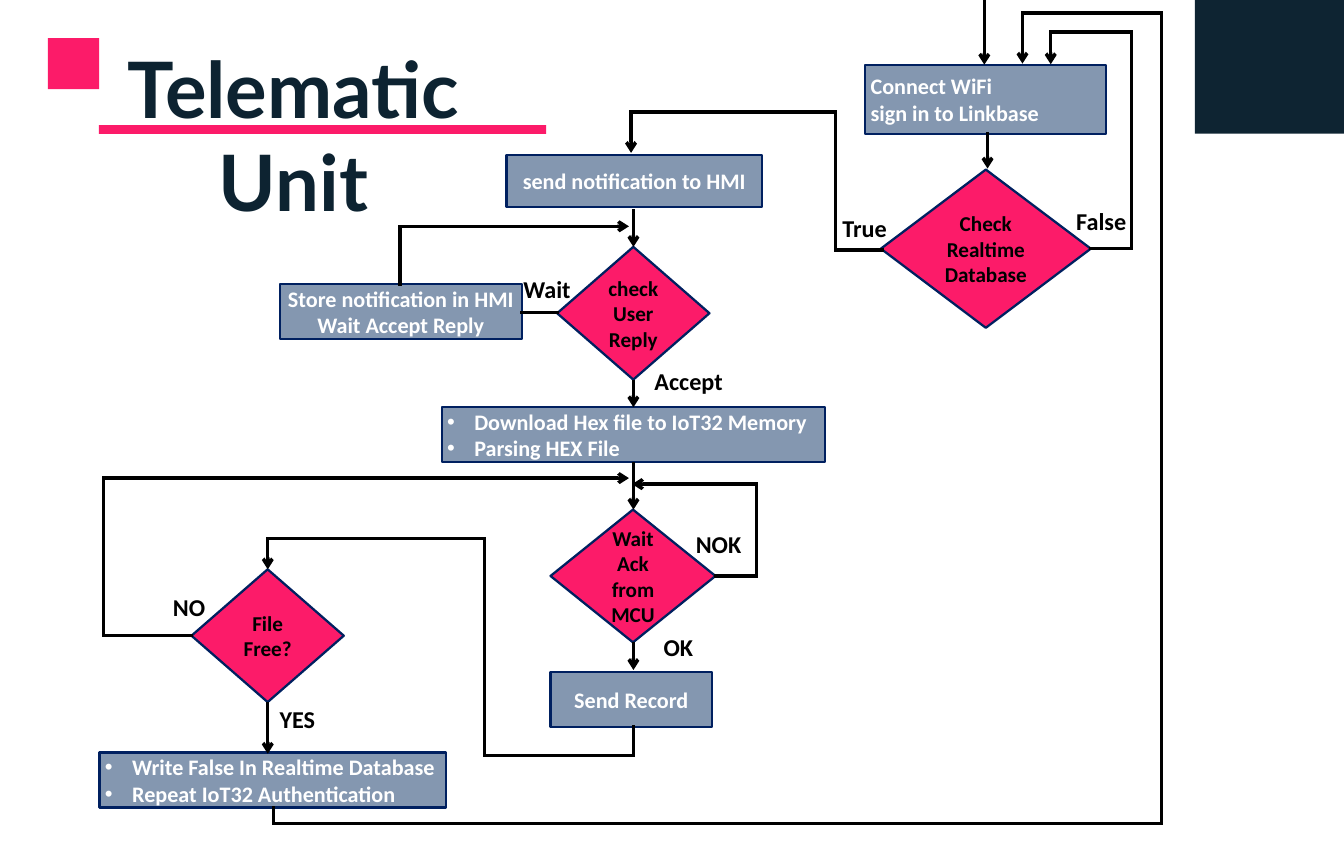
from itertools import pairwise

from lxml import etree
from pptx import Presentation
from pptx.dml.color import RGBColor
from pptx.enum.shapes import MSO_CONNECTOR, MSO_SHAPE
from pptx.enum.text import MSO_ANCHOR, PP_ALIGN
from pptx.oxml.ns import qn
from pptx.util import Cm, Pt

RECT, DIAMOND = MSO_SHAPE.RECTANGLE, MSO_SHAPE.DIAMOND
STRAIGHT = MSO_CONNECTOR.STRAIGHT
LEFT, CENTER = PP_ALIGN.LEFT, PP_ALIGN.CENTER
MIDDLE = MSO_ANCHOR.MIDDLE

PINK, NAVY, TITLE_NAVY = "FC1B69", "0E2432", "0D2331"
STEEL, OUTLINE, WHITE, BLACK = "8497B0", "002060", "FFFFFF", "000000"
MAIN_X, FILE_X = 29.57, 12.5  # centres of the two flow columns


def rgb(value):
    return RGBColor.from_string(value)


def write(sp, text, size, color, align=LEFT, font="Calibri"):
    """Fill a shape with wrapped bold text, one paragraph per line."""
    tf = sp.text_frame
    tf.word_wrap = True
    tf.text = text
    for p in tf.paragraphs:
        p.alignment = align
        for r in p.runs:
            r.font.name, r.font.size, r.font.bold = font, Pt(size), True
            r.font.color.rgb = rgb(color)


prs = Presentation()
prs.slide_width, prs.slide_height = Cm(62.74), Cm(39.37)
s = prs.slides.add_slide(prs.slide_layouts[6])

# Decoration: left, top, width, height, fill
decoration = [
    (2.24, 1.78, 2.39, 2.39, PINK),
    (55.78, -0.08, 6.96, 6.32, NAVY),
    (4.62, 5.84, 20.88, 0.41, PINK),
]
for *box, fill in decoration:
    sp = s.shapes.add_shape(RECT, *map(Cm, box))
    sp.shadow.inherit = False
    sp.fill.solid()
    sp.fill.fore_color.rgb = rgb(fill)
    sp.line.fill.background()

title = s.shapes.add_textbox(Cm(2.74), Cm(1.88), Cm(21.92), Cm(4.39))
write(title, "Telematic Unit", 103, TITLE_NAVY, CENTER, "Lato")
tf = title.text_frame
tf.margin_left = tf.margin_top = tf.margin_right = tf.margin_bottom = 0

# Steps and decisions: kind, left, top, width, height, text, alignment, bulleted
nodes = [
    (RECT, 40.39, 3.02, 11.23, 3.23, "Connect WiFi\nsign in to Linkbase", LEFT, False),
    (DIAMOND, 41.12, 7.92, 9.8, 7.39, "Check Realtime Database", CENTER, False),
    (RECT, 23.65, 7.24, 11.91, 2.44, "send notification to HMI", CENTER, False),
    (DIAMOND, 26.01, 11.53, 7.11, 6.2, "check User Reply", CENTER, False),
    (RECT, 13.06, 13.28, 11.3, 2.57,
     "Store notification in HMI\nWait Accept Reply", CENTER, False),
    (RECT, 20.62, 19.02, 17.88, 2.57,
     "Download Hex file to IoT32 Memory\nParsing HEX File", LEFT, True),
    (DIAMOND, 25.7, 23.8, 7.7, 6.2, "Wait Ack from MCU", CENTER, False),
    (RECT, 25.7, 31.37, 7.54, 2.57, "Send Record", CENTER, False),
    (DIAMOND, 8.94, 26.59, 7.11, 6.2, "File Free?", CENTER, False),
    (RECT, 4.65, 35.15, 16.18, 2.57,
     "Write False In Realtime Database\nRepeat IoT32 Authentication", LEFT, True),
]
for kind, left, top, width, height, text, align, bulleted in nodes:
    sp = s.shapes.add_shape(kind, Cm(left), Cm(top), Cm(width), Cm(height))
    sp.shadow.inherit = False
    sp.fill.solid()
    sp.fill.fore_color.rgb = rgb(PINK if kind == DIAMOND else STEEL)
    sp.line.color.rgb = rgb(OUTLINE)
    sp.line.width = Pt(3)
    if kind == DIAMOND:
        write(sp, text, 28, BLACK, align)
    else:
        write(sp, text, 29.3, WHITE, align)
    sp.text_frame.vertical_anchor = MIDDLE
    if bulleted:
        for p in sp.text_frame.paragraphs:
            pPr = p._p.get_or_add_pPr()
            pPr.set("marL", str(Cm(1.27)))
            pPr.set("indent", str(-Cm(1.27)))
            etree.SubElement(pPr, qn("a:buFont"), typeface="Arial")
            etree.SubElement(pPr, qn("a:buChar"), char="•")

# Each flow is a list of corner points, ending in an arrow or a plain end
flows = [
    ([(45.95, 0), (45.95, 3.02)], True),
    ([(46.1, 6.17), (46.1, 7.87)], True),
    ([(50.93, 11.61), (52.81, 11.61), (52.81, 1.5), (49.05, 1.5), (49.05, 3)], True),
    ([(41.2, 11.68), (39.01, 11.68), (39.01, 5.24), (29.46, 5.24), (29.46, 7.14)], True),
    ([(MAIN_X, 9.78), (MAIN_X, 11.53)], True),
    ([(26.01, 14.6), (24.36, 14.6)], False),
    ([(18.67, 13.28), (18.67, 10.57), (29.36, 10.57)], True),
    ([(MAIN_X, 17.73), (MAIN_X, 19.02)], True),
    ([(MAIN_X, 21.59), (MAIN_X, 23.8)], True),
    ([(33.4, 26.9), (35.31, 26.9), (35.31, 22.61), (29.51, 22.61)], True),
    ([(MAIN_X, 30), (MAIN_X, 31.29)], True),
    ([(MAIN_X, 33.93), (MAIN_X, 35.28), (22.61, 35.28), (22.61, 25.15),
      (FILE_X, 25.15), (FILE_X, 26.59)], True),
    ([(8.94, 29.69), (4.83, 29.69), (4.83, 22.33), (29.36, 22.33)], True),
    ([(FILE_X, 32.79), (FILE_X, 35.2)], True),
    ([(12.78, 37.72), (12.78, 38.46), (54.23, 38.46), (54.23, 0.6),
      (47.73, 0.6), (47.73, 2.97)], True),
]
for points, arrow in flows:
    for start, end in pairwise(points):
        line = s.shapes.add_connector(STRAIGHT, *map(Cm, start + end))
        line.line.color.rgb = rgb(BLACK)
        line.line.width = Pt(4.5)
        spPr = line._element.spPr
        ln = spPr.find(qn("a:ln"))
        if arrow and end == points[-1]:
            etree.SubElement(ln, qn("a:tailEnd"), type="arrow")
        else:
            ln.set("cap", "sq")
        etree.SubElement(spPr, qn("a:effectLst"))

labels = [
    ("True", 39.07, 9.86),
    ("False", 49.99, 9.5),
    ("Wait", 24.18, 12.67),
    ("Accept", 30.3, 16.97),
    ("NOK", 32.23, 24.61),
    ("OK", 30.73, 29.41),
    ("NO", 7.82, 27.53),
    ("YES", 12.8, 32.79),
]
for text, left, top in labels:
    sp = s.shapes.add_textbox(Cm(left), Cm(top), Cm(4.2), Cm(1.62))
    write(sp, text, 32, BLACK)

prs.save("out.pptx")
